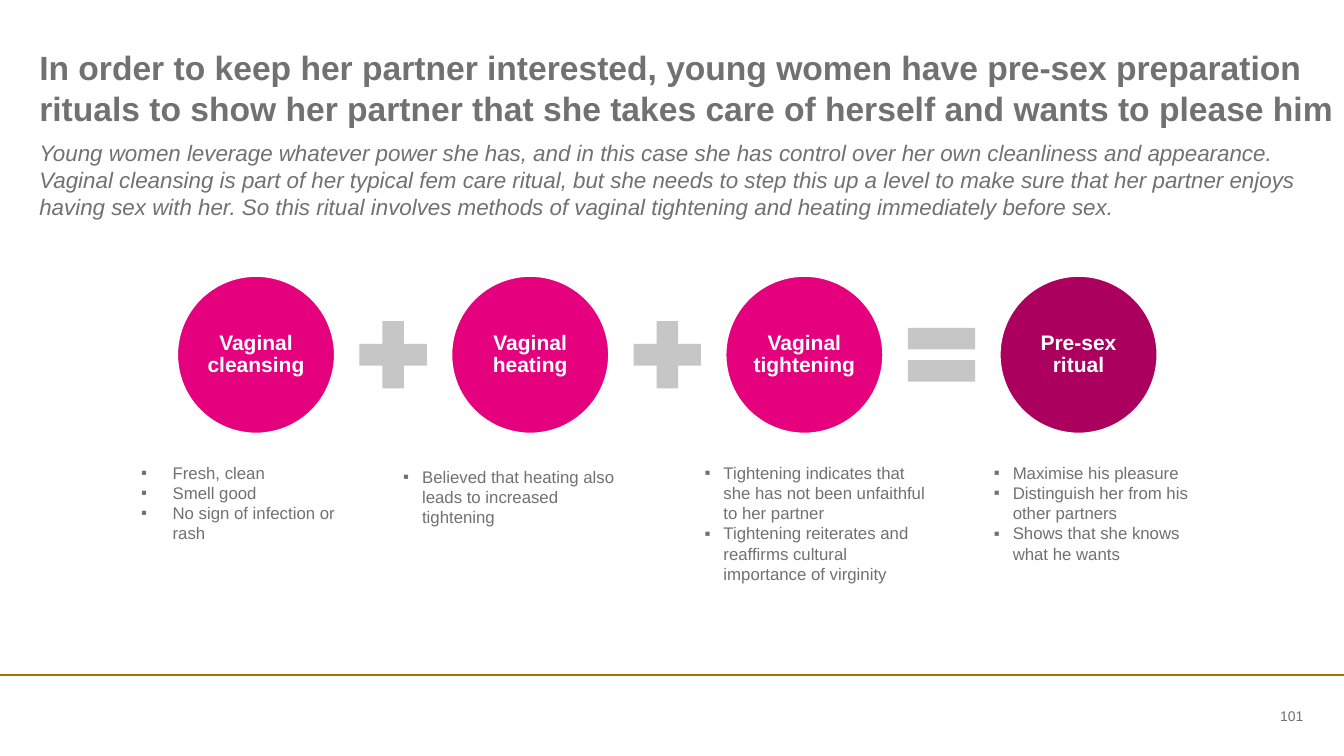
from lxml import etree
from pptx import Presentation
from pptx.dml.color import RGBColor
from pptx.enum.shapes import MSO_CONNECTOR, MSO_SHAPE
from pptx.enum.text import MSO_ANCHOR, PP_ALIGN
from pptx.oxml.ns import qn
from pptx.util import Pt

STRAIGHT = MSO_CONNECTOR.STRAIGHT
OVAL, PLUS, EQUAL = MSO_SHAPE.OVAL, MSO_SHAPE.MATH_PLUS, MSO_SHAPE.MATH_EQUAL
TOP, MIDDLE = MSO_ANCHOR.TOP, MSO_ANCHOR.MIDDLE
LEFT, CENTER, RIGHT = PP_ALIGN.LEFT, PP_ALIGN.CENTER, PP_ALIGN.RIGHT

GREY = RGBColor(0x71, 0x71, 0x71)
SYMBOL_GREY = RGBColor(0xC6, 0xC6, 0xC6)
PINK = RGBColor(0xE5, 0x00, 0x7E)
PLUM = RGBColor(0xAC, 0x00, 0x5E)
GOLD = RGBColor(0xA3, 0x73, 0x00)
WHITE = RGBColor(0xFF, 0xFF, 0xFF)


class Deck:
    font = "Arial"

    def __init__(self, width, height):
        self.prs = Presentation()
        self.prs.slide_width, self.prs.slide_height = Pt(width), Pt(height)
        self.s = self.prs.slides.add_slide(self.prs.slide_layouts[6])

    def fill_text(self, sp, lines, size, color=GREY, align=LEFT, anchor=TOP,
                  inset=0, spacing=None, indent=0, **style):
        tf = sp.text_frame
        frame = {"word_wrap": True, "vertical_anchor": anchor}
        for side in ("left", "top", "right", "bottom"):
            frame[f"margin_{side}"] = Pt(inset)
        for name, value in frame.items():
            setattr(tf, name, value)
        for i, line in enumerate(lines):
            p = tf.add_paragraph() if i else tf.paragraphs[0]
            p.alignment, p.line_spacing = align, spacing
            if indent:
                self.bullet(p, indent)
            r = p.add_run()
            r.text = line
            r.font.color.rgb = color
            fmt = {"name": self.font, "size": Pt(size), **style}
            for name, value in fmt.items():
                setattr(r.font, name, value)

    def bullet(self, p, indent):
        pPr = p._p.get_or_add_pPr()
        pPr.set("marL", str(Pt(indent)))
        pPr.set("indent", str(-Pt(indent)))
        etree.SubElement(pPr, qn("a:buFont")).set("typeface", self.font)
        etree.SubElement(pPr, qn("a:buChar")).set("char", "▪")

    def text(self, x, y, w, h, lines, size, **style):
        sp = self.s.shapes.add_textbox(Pt(x), Pt(y), Pt(w), Pt(h))
        self.fill_text(sp, lines, size, **style)

    def shape(self, kind, cx, cy, side, fill, outline=None):
        sp = self.s.shapes.add_shape(kind, Pt(cx - side / 2), Pt(cy - side / 2),
                                     Pt(side), Pt(side))
        sp.shadow.inherit = False
        sp.fill.solid()
        sp.fill.fore_color.rgb = fill
        if outline is None:
            sp.line.fill.background()
        else:
            sp.line.color.rgb = outline
            sp.line.width = Pt(1)
        return sp

    def rule(self, x1, x2, y, color, width):
        c = self.s.shapes.add_connector(STRAIGHT, Pt(x1), Pt(y), Pt(x2), Pt(y))
        c.line.color.rgb = color
        c.line.width = Pt(width)
        etree.SubElement(c._element.spPr, qn("a:effectLst"))


def main():
    deck = Deck(960, 540)

    # Footer
    deck.rule(0, 960, 482.4, GOLD, 1.5)
    deck.text(854.6, 503.3, 76.4, 15.8, ["101"], 10, align=RIGHT, anchor=MIDDLE)

    # Title and introduction
    deck.text(28.1, 33.8, 931.9, 64, [
        "In order to keep her partner interested, young women have pre-sex "
        "preparation rituals to show her partner that she takes care of herself "
        "and wants to please him"], 24, bold=True)
    deck.text(28.1, 99.4, 903.6, 90, [
        "Young women leverage whatever power she has, and in this case she has "
        "control over her own cleanliness and appearance. Vaginal cleansing is "
        "part of her typical fem care ritual, but she needs to step this up a "
        "level to make sure that her partner enjoys having sex with her. So this "
        "ritual involves methods of vaginal tightening and heating immediately "
        "before sex."], 16, italic=True)

    # Equation: circles with a symbol midway between neighbours
    first_x, mid_y, pitch = 182.9, 253.4, 195.84
    steps = [("Vaginal cleansing", PINK, PLUS), ("Vaginal heating", PINK, PLUS),
             ("Vaginal tightening", PINK, EQUAL), ("Pre-sex ritual", PLUM, None)]
    for i, (label, fill, symbol) in enumerate(steps):
        cx = first_x + i * pitch
        circle = deck.shape(OVAL, cx, mid_y, 112.3, fill, WHITE)
        deck.fill_text(circle, [label], 15, color=WHITE, align=CENTER,
                       anchor=MIDDLE, inset=1.4, spacing=0.9, bold=True)
        if symbol is not None:
            deck.shape(symbol, cx + pitch / 2, mid_y, 65.5, SYMBOL_GREY)

    # Bullet notes under the circles: left, top, indent, lines
    notes = [
        (100.8, 330.5, 22.5, ["Fresh, clean", "Smell good",
                              "No sign of infection or rash"]),
        (288, 333.4, 13.5, [
            "Believed that heating also leads to increased tightening"]),
        (503.3, 330.5, 13.5, [
            "Tightening indicates that she has not been unfaithful to her partner",
            "Tightening reiterates and reaffirms cultural importance of virginity"]),
        (709.9, 330.5, 13.5, ["Maximise his pleasure",
                              "Distinguish her from his other partners",
                              "Shows that she knows what he wants"]),
    ]
    for x, y, indent, lines in notes:
        deck.text(x, y, 159.1, 87, lines, 12, indent=indent)

    deck.prs.save("out.pptx")


if __name__ == "__main__":
    main()
